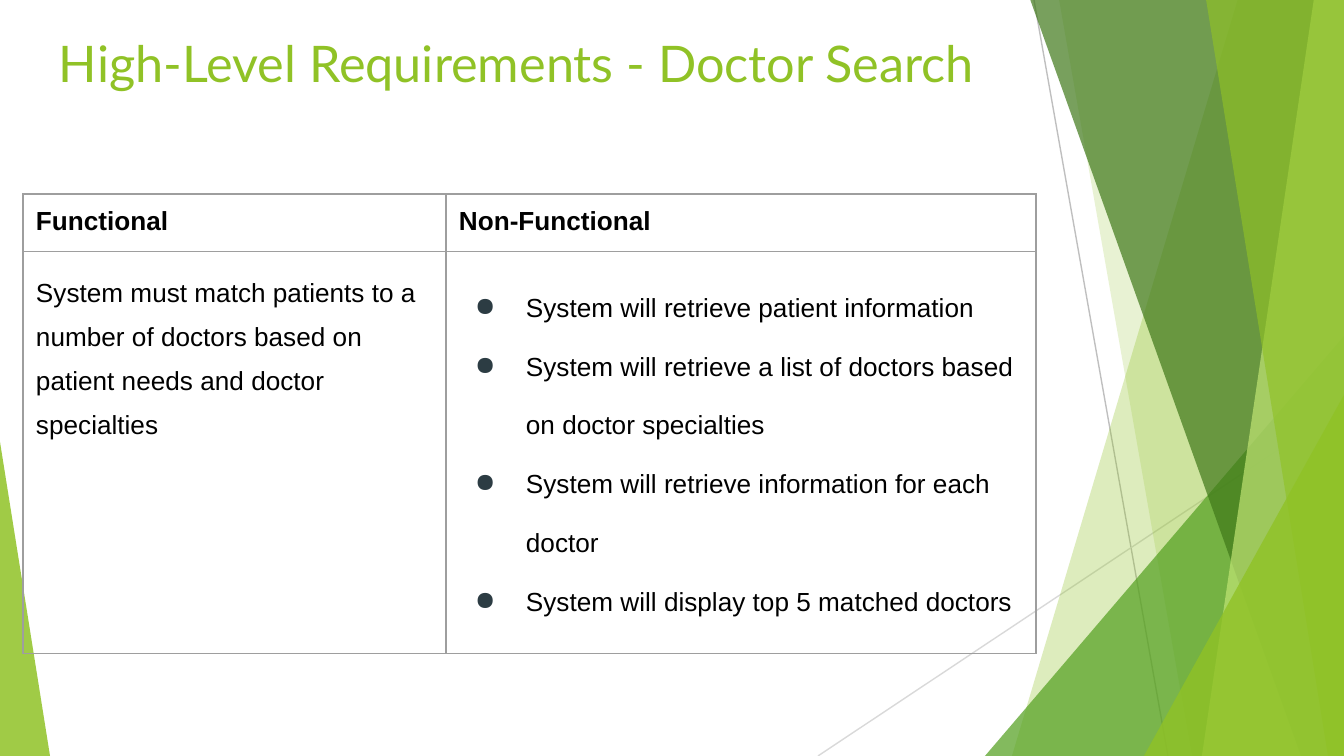
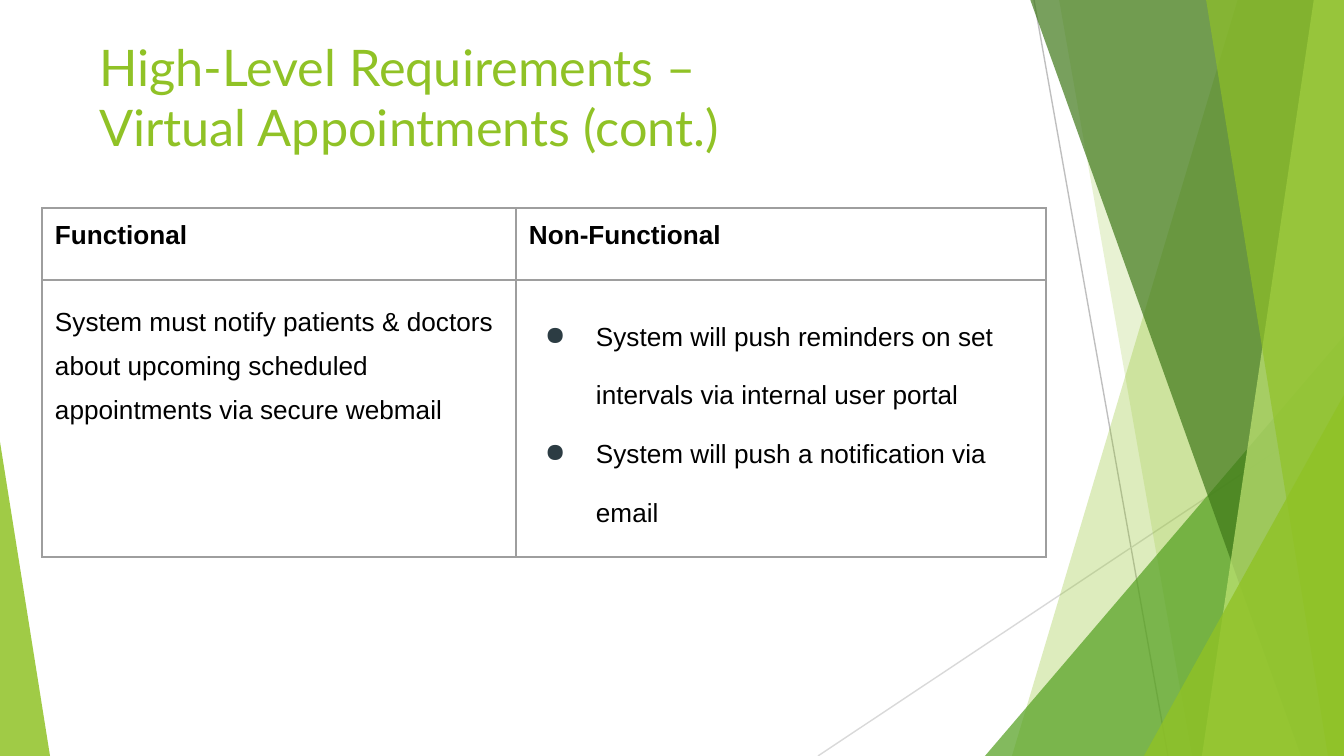
import lxml.etree
import pptx
import pptx.dml.color
import pptx.enum.shapes
import pptx.oxml.ns
import pptx.util

PIXEL = 914400 / 134.4
WIDTH, HEIGHT = 1344, 756
INSET = 13
BULLET_INDENT, BULLET_HANG = 67, 51

RGB = pptx.dml.color.RGBColor
LIME = RGB(0x90, 0xC2, 0x26)
GREEN = RGB(0x54, 0xA0, 0x21)
FOREST = RGB(0x3F, 0x78, 0x19)
PALE_LIME = RGB(0xC0, 0xE4, 0x74)
SILVER = RGB(0xBF, 0xBF, 0xBF)
LIGHT_GRAY = RGB(0xD9, 0xD9, 0xD9)
BORDER_GRAY = RGB(0x9E, 0x9E, 0x9E)
BULLET_SLATE = RGB(0x2C, 0x3C, 0x43)
BLACK = RGB(0, 0, 0)

TITLE_FONT, BODY_FONT = "Lato", "Arial"


def px(value):
    return pptx.util.Emu(round(value * PIXEL))


def add_xml(parent, tag, **attributes):
    return lxml.etree.SubElement(parent, pptx.oxml.ns.qn(tag), attributes)


def fill_translucent(shape, color, opacity):
    """Fill with a colour at the given opacity in percent, without outline."""
    shape.shadow.inherit = False
    shape.line.fill.background()
    shape.fill.solid()
    shape.fill.fore_color.rgb = color
    color_element = shape._element.spPr.find(".//" + pptx.oxml.ns.qn("a:srgbClr"))
    add_xml(color_element, "a:alpha", val=str(opacity * 1000))


def add_thin_line(shapes, start, end, color):
    line = shapes.add_connector(
        pptx.enum.shapes.MSO_CONNECTOR.STRAIGHT, *map(px, start + end))
    line.line.color.rgb = color
    line.line.width = pptx.util.Pt(0.75)
    add_xml(line._element.spPr, "a:effectLst")


def add_band(shapes, top_x, bottom_x, color, opacity):
    """Add a full-height band with a slanted left edge, reaching the right side."""
    builder = shapes.build_freeform(top_x, -1, scale=PIXEL)
    builder.add_line_segments([(WIDTH, -1), (WIDTH, HEIGHT), (bottom_x, HEIGHT)])
    fill_translucent(builder.convert_to_shape(), color, opacity)


def add_corner_triangle(shapes, left, width, height, apex, color, opacity):
    """Add a triangle standing on the slide's bottom edge."""
    triangle = shapes.add_shape(
        pptx.enum.shapes.MSO_SHAPE.ISOSCELES_TRIANGLE,
        px(left), px(HEIGHT - height), px(width), px(height))
    triangle.adjustments[0] = apex
    fill_translucent(triangle, color, opacity)


def add_facets(slide):
    shapes = slide.shapes.add_group_shape().shapes
    add_thin_line(shapes, (1034, 0), (1168, HEIGHT), SILVER)
    add_thin_line(shapes, (WIDTH, 406), (818, HEIGHT), LIGHT_GRAY)
    add_band(shapes, 1238, 1012, LIME, 30)
    add_band(shapes, 1059, 1192, LIME, 20)
    add_corner_triangle(shapes, 985, 359, 420, 1, GREEN, 72)
    add_band(shapes, 1030, 1301, FOREST, 70)
    add_band(shapes, 1314, 1202, PALE_LIME, 70)
    add_band(shapes, 1206, 1328, LIME, 65)
    add_corner_triangle(shapes, 1144, 200, 361, 1, LIME, 80)
    add_corner_triangle(shapes, 0, 50, 314, 0, LIME, 85)


def set_margins(box):
    box.margin_left = box.margin_right = px(INSET)
    box.margin_top = box.margin_bottom = px(INSET)


def set_font(paragraph, name, size, color, bold=False):
    paragraph.font.name = name
    paragraph.font.size = pptx.util.Pt(size)
    paragraph.font.color.rgb = color
    paragraph.font.bold = bold


def add_title(slide, text, left, top, width, height):
    frame = slide.shapes.add_textbox(
        px(left), px(top), px(width), px(height)).text_frame
    frame.word_wrap = True
    set_margins(frame)
    paragraph = frame.paragraphs[0]
    paragraph.text = text
    set_font(paragraph, TITLE_FONT, 27, LIME)


def style_cell(cell):
    set_margins(cell)
    properties = cell._tc.get_or_add_tcPr()
    for side in ("a:lnL", "a:lnR", "a:lnT", "a:lnB"):
        border = add_xml(properties, side, w=str(pptx.util.Pt(0.75)))
        fill = add_xml(border, "a:solidFill")
        add_xml(fill, "a:srgbClr", val=str(BORDER_GRAY))
    cell.fill.background()


def add_bullet(paragraph):
    properties = paragraph._p.get_or_add_pPr()
    properties.set("marL", str(px(BULLET_INDENT)))
    properties.set("indent", str(-px(BULLET_HANG)))
    color = add_xml(properties, "a:buClr")
    add_xml(color, "a:srgbClr", val=str(BULLET_SLATE))
    add_xml(properties, "a:buChar", char="●")


def write_cell(cell, lines, line_spacing=None, bold=False, bulleted=False):
    style_cell(cell)
    cell.text = "\n".join(lines)
    for paragraph in cell.text_frame.paragraphs:
        if bulleted:
            add_bullet(paragraph)
        if line_spacing:
            paragraph.line_spacing = line_spacing
        set_font(paragraph, BODY_FONT, 14, BLACK, bold)


def add_requirements(slide, left, top, height, column_widths, row_heights,
                     functional, non_functional):
    frame = slide.shapes.add_table(
        2, 2, px(left), px(top), px(sum(column_widths)), px(height))
    table = frame.table
    table.first_row = table.horz_banding = False
    for column, width in zip(table.columns, column_widths):
        column.width = px(width)
    for row, row_height in zip(table.rows, row_heights):
        row.height = px(row_height)
    frame.height = px(height)
    write_cell(table.cell(0, 0), ["Functional"], bold=True)
    write_cell(table.cell(0, 1), ["Non-Functional"], bold=True)
    write_cell(table.cell(1, 0), [functional], line_spacing=1.5)
    write_cell(table.cell(1, 1), non_functional, line_spacing=2.0, bulleted=True)


def add_facet_slide(presentation):
    slide = presentation.slides.add_slide(presentation.slide_layouts[6])
    add_facets(slide)
    return slide


def main():
    presentation = pptx.Presentation()
    presentation.slide_width, presentation.slide_height = px(WIDTH), px(HEIGHT)

    slide = add_facet_slide(presentation)
    add_title(slide, "High-Level Requirements - Doctor Search", 46, 19, 1253, 97)
    add_requirements(
        slide, 23, 194, 452, (423, 590), (51, 237),
        "System must match patients to a number of doctors based on "
        "patient needs and doctor specialties",
        ["System will retrieve patient information",
         "System will retrieve a list of doctors based on doctor specialties",
         "System will retrieve information for each doctor",
         "System will display top 5 matched doctors"])

    slide = add_facet_slide(presentation)
    add_title(slide, "High-Level Requirements – \vVirtual Appointments (cont.)",
              86, 23, 1398, 136)
    add_requirements(
        slide, 42, 208, 340, (474, 530), (72, 173),
        "System must notify patients & doctors about upcoming scheduled "
        "appointments via secure webmail",
        ["System will push reminders on set intervals via internal user portal",
         "System will push a notification via email"])

    presentation.save("out.pptx")


if __name__ == "__main__":
    main()
